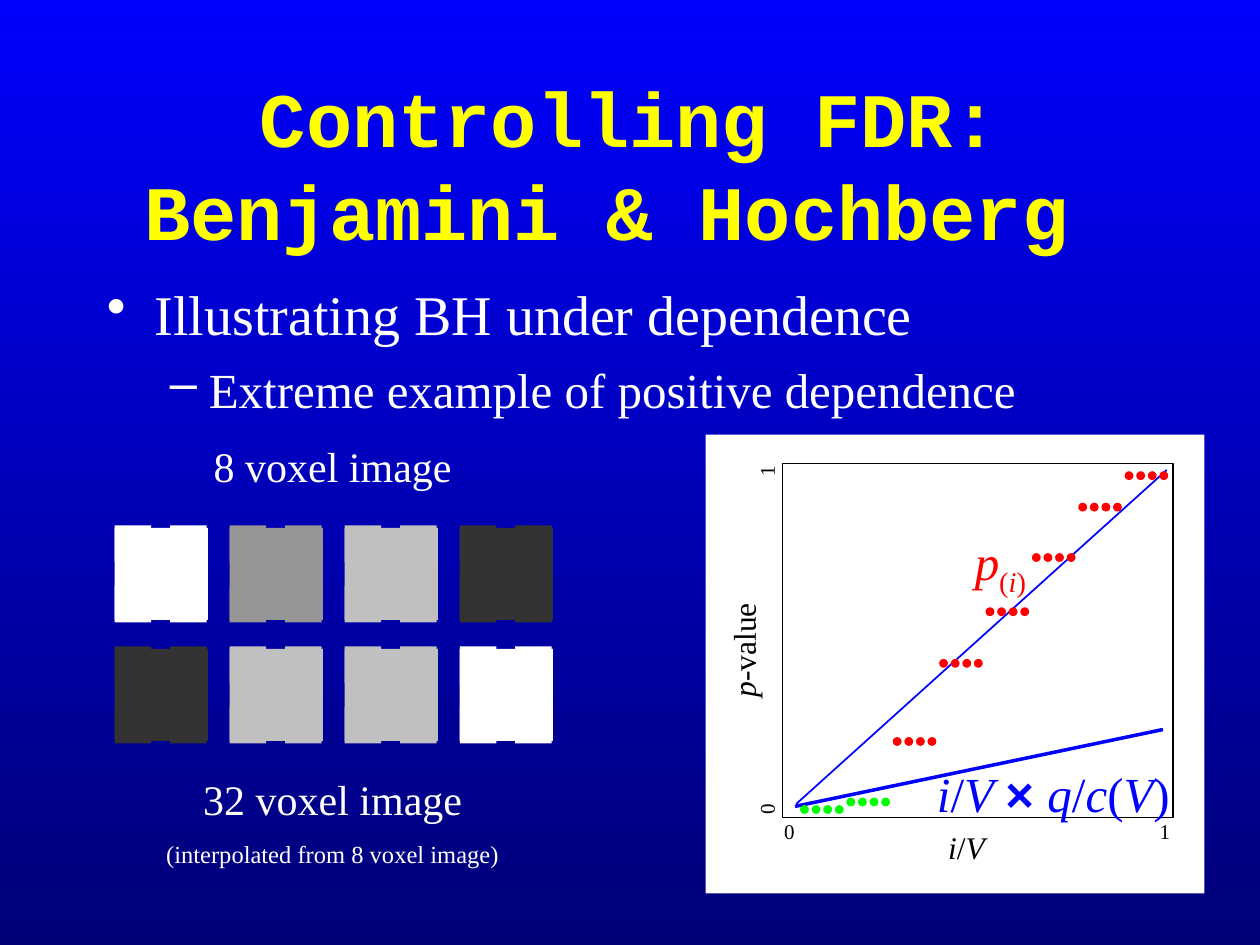
import pptx
import pptx.util
import pptx.dml.color
import pptx.enum.shapes
import pptx.enum.text
import pptx.oxml.ns
import lxml.etree

COLS, ROWS = 100, 75
CELL = pptx.util.Inches(0.1)
SERIF = "Times New Roman"
SHAPES = pptx.enum.shapes.MSO_SHAPE
ALIGN = pptx.enum.text.PP_ALIGN
FIT = pptx.enum.text.MSO_AUTO_SIZE
WHITE, BLACK, RED, GREEN, BLUE = "FFFFFF", "000000", "FF0000", "00FF00", "0000FF"


def rgb(hex_color):
    return pptx.dml.color.RGBColor.from_string(hex_color)


def cells(*counts):
    return [round(n * CELL) for n in counts]


def inside(box, x, y, w, h):
    return box[0] + x, box[1] + y, w, h


def write(p, runs, size, color, font=SERIF, bold=False, align=ALIGN.CENTER, before=0):
    p.alignment = align
    p.space_before = pptx.util.Pt(before)
    if isinstance(runs, str):
        runs = [(runs, "")]
    for text, style in runs:
        r = p.add_run()
        r.text = text
        r.font.size = pptx.util.Pt(size)
        r.font.name = "Arial" if "a" in style else font
        r.font.bold = bold or "b" in style
        r.font.italic = "i" in style
        r.font.color.rgb = rgb(color)
        if "s" in style:
            r.font._element.set("baseline", "-25000")


def add_text(s, box, runs, size, color, rotation=0, **fmt):
    sp = s.shapes.add_textbox(*cells(*box))
    sp.rotation = rotation
    tf = sp.text_frame
    tf.word_wrap = True
    tf.auto_size = FIT.SHAPE_TO_FIT_TEXT
    write(tf.paragraphs[0], runs, size, color, **fmt)
    return tf


def add_box(s, kind, box, fill=None, line=None):
    sp = s.shapes.add_shape(kind, *cells(*box))
    sp.shadow.inherit = False
    if fill:
        sp.fill.solid()
        sp.fill.fore_color.rgb = rgb(fill)
    else:
        sp.fill.background()
    if line:
        sp.line.color.rgb = rgb(line)
        sp.line.width = pptx.util.Pt(0.75)
    else:
        sp.line.fill.background()
    return sp


def add_line(s, box, x1, y1, x2, y2, width):
    left, top = box[:2]
    ends = cells(left + x1, top + y1, left + x2, top + y2)
    line = s.shapes.add_connector(pptx.enum.shapes.MSO_CONNECTOR.STRAIGHT, *ends)
    line.line.color.rgb = rgb(BLUE)
    line.line.width = pptx.util.Pt(width)
    lxml.etree.SubElement(line._element.spPr, pptx.oxml.ns.qn("a:effectLst"))


def set_bullet(p, char, margin, hanging):
    pPr = p._p.get_or_add_pPr()
    pPr.set("marL", str(pptx.util.Inches(margin)))
    pPr.set("indent", str(-pptx.util.Inches(hanging)))
    lxml.etree.SubElement(pPr, pptx.oxml.ns.qn("a:buChar")).set("char", char)


def add_title(s, box):
    sp = s.shapes.title
    sp.left, sp.top, sp.width, sp.height = cells(*box)
    tf = sp.text_frame
    tf.word_wrap = True
    tf.auto_size = FIT.NONE
    tf.vertical_anchor = pptx.enum.text.MSO_ANCHOR.MIDDLE
    p = tf.paragraphs[0]
    fmt = dict(size=44, color="FFFF00", font="Courier New", bold=True)
    write(p, "Controlling FDR:", **fmt)
    p.add_line_break()
    write(p, "Benjamini & Hochberg ", **fmt)


def add_body(s, box):
    tf = add_text(s, box, "Illustrating BH under dependence", 32, WHITE,
                  align=ALIGN.LEFT, before=8)
    tf.auto_size = FIT.NONE
    set_bullet(tf.paragraphs[0], "•", 0.38, 0.38)
    p = tf.add_paragraph()
    p.level = 1
    write(p, "Extreme example of positive dependence", 28, WHITE, align=ALIGN.LEFT, before=7)
    set_bullet(p, "–", 0.81, 0.31)


def add_plot(s, box):
    add_box(s, SHAPES.RECTANGLE, box, fill=WHITE)
    add_box(s, SHAPES.RECTANGLE, inside(box, 6.1, 2.3, 31, 28.1), line=BLACK)
    add_line(s, box, 7.1, 29.5, 36.3, 23.4, 2)
    add_line(s, box, 7.2, 29.3, 36.6, 2.8, 1)

    p_i = [("p", "i"), ("(", "s"), ("i", "is"), (")", "s")]
    threshold = [("i", "i"), ("/", ""), ("V ", "i"), ("× ", "ab"), ("q", "i"),
                 ("/", ""), ("c", "i"), ("(", ""), ("V", "i"), (")", "")]
    x_title = [("i", "i"), ("/", ""), ("V", "i")]
    y_title = [("p", "i"), ("-value", "")]
    for area, runs, size, color, rotation in (
        ((18.1, 7.2, 10.6, 6.3), p_i, 28, RED, 0),
        ((15.1, 30.7, 11.2, 4), x_title, 18, BLACK, 0),
        ((16.8, 25.6, 21.6, 5.7), threshold, 28, BLUE, 0),
        ((-2.6, 15.1, 11.2, 4), y_title, 18, BLACK, 270),
        ((5.1, 30, 3.1, 3), "0", 12, BLACK, 0),
        ((34.9, 30, 3.1, 3), "1", 12, BLACK, 0),
        ((3.3, 28.2, 3.1, 3), "0", 12, BLACK, 270),
        ((3.3, 1.4, 3.1, 3), "1", 12, BLACK, 270),
    ):
        add_text(s, inside(box, *area), runs, size, color, rotation, before=size / 4)

    levels = (29.4, 28.8, 24, 17.8, 13.7, 9.4, 5.4, 2.9)
    for i in range(4 * len(levels)):
        group = i // 4
        add_box(s, SHAPES.OVAL, inside(box, 7.5 + 0.92 * i, levels[group], 0.7, 0.7),
                fill=GREEN if group < 2 else RED)


def add_voxels(s, box):
    mid, light, dark = "969696", "C0C0C0", "333333"
    grid = ((WHITE, mid, light, dark), (dark, light, light, WHITE))
    add_text(s, inside(box, 2.9, 0, 28.8, 5), "8 voxel image", 24, WHITE, before=15)
    for row, colors in enumerate(grid):
        for col, color in enumerate(colors):
            x, y = 9.13 * col, 7.4 + 9.6 * row
            add_box(s, SHAPES.RECTANGLE, inside(box, x, y, 7.4, 7.3), fill=color)
            for dx in (0, 4.4):
                for dy in (-0.2, 4.6):
                    add_box(s, SHAPES.RECTANGLE, inside(box, x + dx, y + dy, 2.9, 2.9),
                            fill=color)
    tf = add_text(s, inside(box, 2.9, 26.4, 28.8, 8.6), "32 voxel image", 24, WHITE, before=15)
    write(tf.add_paragraph(), "(interpolated from 8 voxel image)", 14, WHITE, before=8.8)


def main():
    prs = pptx.Presentation()
    prs.slide_width, prs.slide_height = cells(COLS, ROWS)
    s = prs.slides.add_slide(prs.slide_layouts[5])
    fill = s.background.fill
    fill.gradient()
    fill.gradient_angle = 270
    for stop, color, position in zip(fill.gradient_stops, (BLUE, "000076"), (0, 1)):
        stop.color.rgb = rgb(color)
        stop.position = position
    add_title(s, (7.5, 6.7, 85, 12.5))
    add_body(s, (7.5, 21.7, 85, 22.6))
    add_plot(s, (56, 34.5, 39.6, 36.4))
    add_voxels(s, (9.1, 34.5, 34.8, 35))
    prs.save("out.pptx")


if __name__ == "__main__":
    main()
